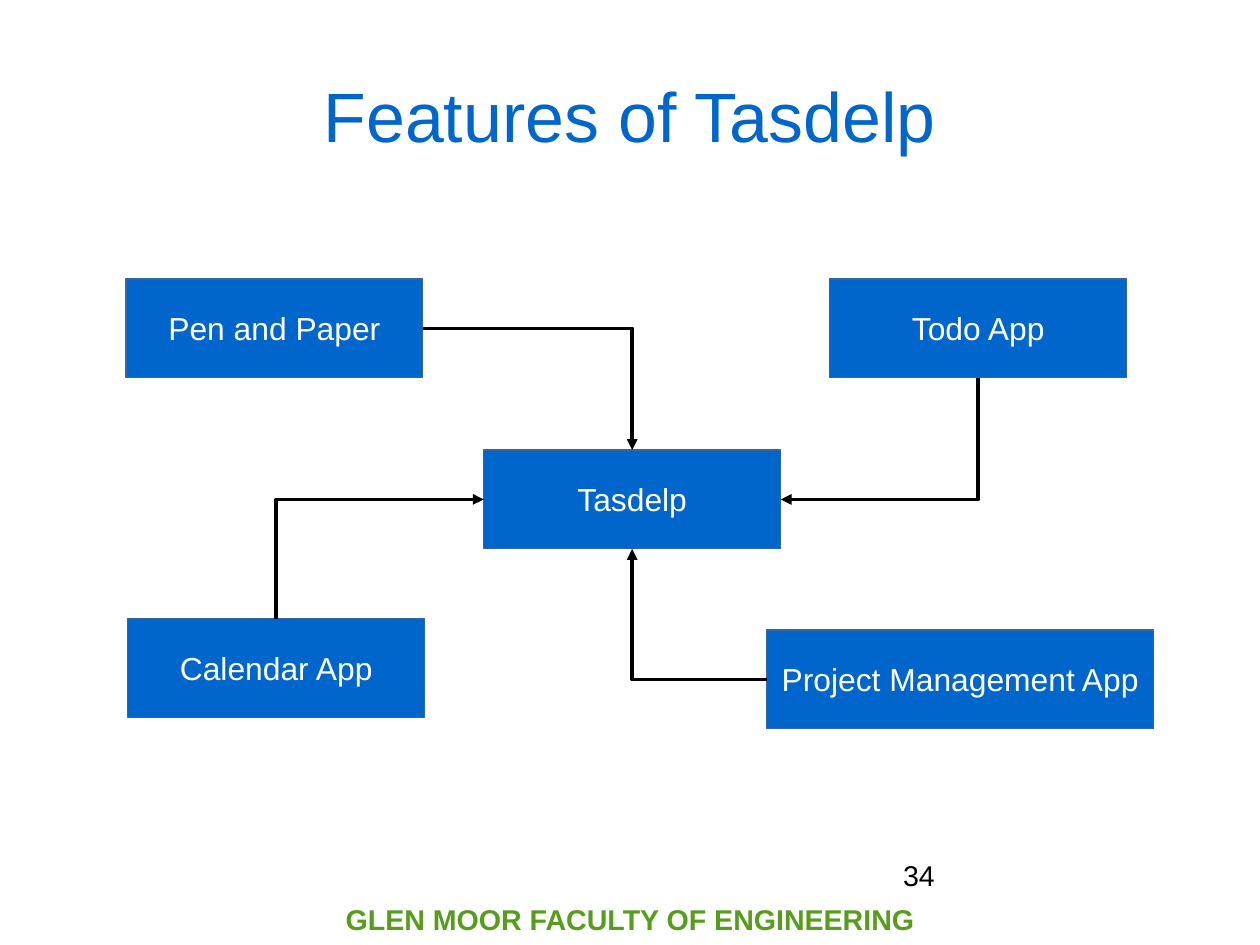
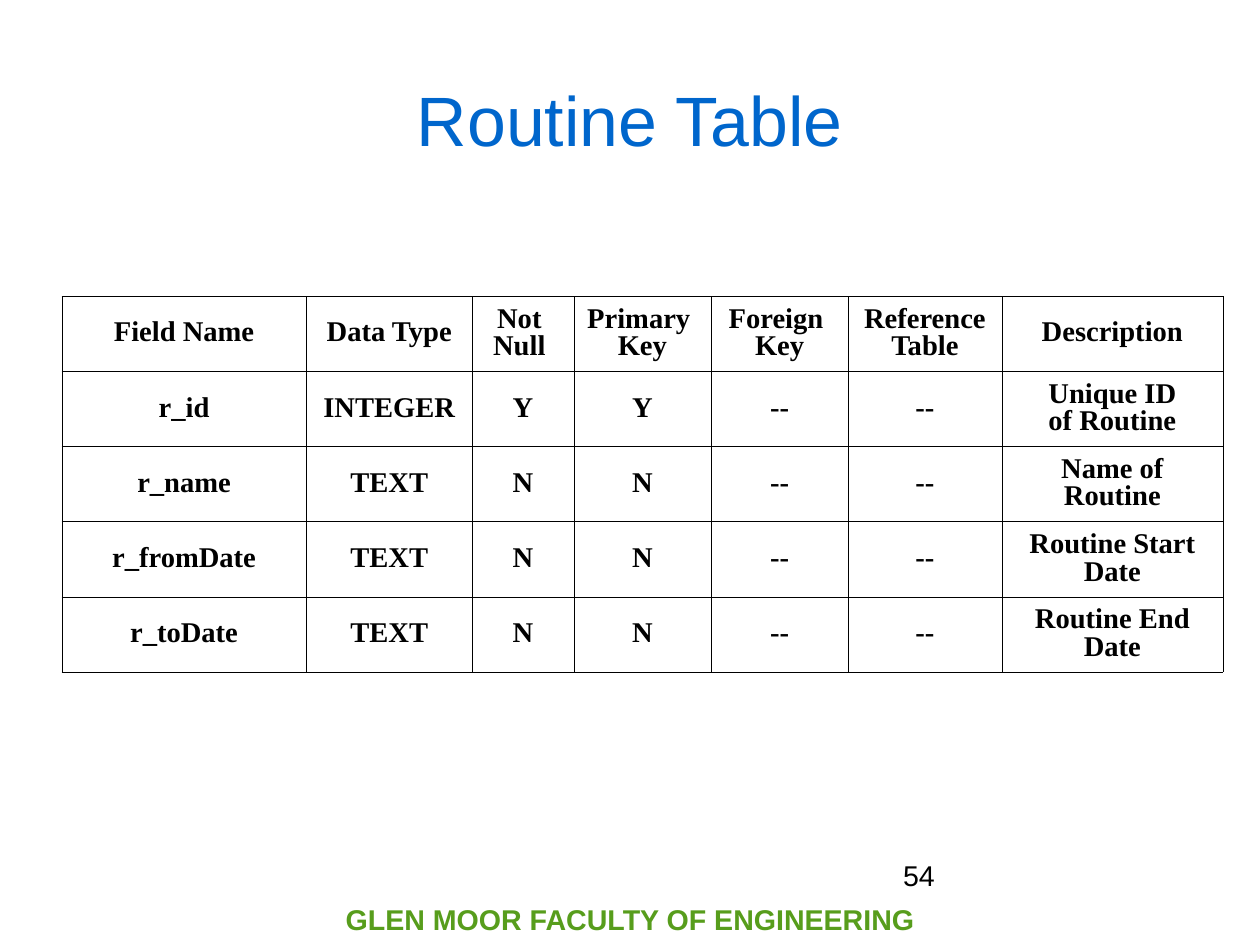
from dataclasses import dataclass, field

from lxml import etree
from pptx import Presentation
from pptx import util as u
from pptx.dml.color import RGBColor
from pptx.enum import shapes, text
from pptx.oxml.ns import qn
from pptx.util import Cm

TOP, LEFT, BOTTOM, RIGHT = range(4)


@dataclass(frozen=True)
class TextStyle:
    size: float
    color: str
    font: str = "Arial"
    bold: bool = False
    align: text.PP_ALIGN = text.PP_ALIGN.CENTER
    anchor: text.MSO_ANCHOR = text.MSO_ANCHOR.MIDDLE
    spacing: float = 0.94
    wrap: bool = True
    # left, top, right and bottom insets in cm
    insets: tuple[float, float, float, float] = (0.25, 0.13, 0.25, 0.13)


@dataclass(frozen=True)
class Theme:
    blue: str = "0066CC"
    edge: str = "3465A4"
    black: str = "000000"
    white: str = "FFFFFF"
    title: TextStyle = TextStyle(44, "0066CC", insets=(0, 0.1, 0, 0))
    footer: TextStyle = TextStyle(18, "579D1C", bold=True, spacing=1)
    number: TextStyle = TextStyle(18, "000000", align=text.PP_ALIGN.LEFT,
                                  anchor=text.MSO_ANCHOR.TOP, insets=(0, 0, 0, 0))
    box: TextStyle = TextStyle(20, "FFFFFF", wrap=False, insets=(0.25, 0.18, 0.25, 0.13))
    cell: TextStyle = TextStyle(18, "000000", "Times New Roman", True, spacing=0.87)


THEME = Theme()


@dataclass(frozen=True)
class Box:
    label: str
    left: float
    top: float
    width: float = 6.6
    height: float = 2.2


@dataclass(frozen=True)
class Link:
    source: str
    source_side: int
    target_side: int


@dataclass(frozen=True)
class Grid:
    left: float
    top: float
    row_height: float
    widths: list[float]
    rows: list[list[str]] = field(default_factory=list)


def rgb(color: str) -> RGBColor:
    return RGBColor.from_string(color)


def set_all(obj, values: dict) -> None:
    for name, value in values.items():
        setattr(obj, name, value)


def place(sp, left: float, top: float, width: float, height: float) -> None:
    set_all(sp, {"left": Cm(left), "top": Cm(top), "width": Cm(width), "height": Cm(height)})


def margins(style: TextStyle) -> dict:
    names = ("margin_left", "margin_top", "margin_right", "margin_bottom")
    return dict(zip(names, map(Cm, style.insets)))


def write(tf, content: str, style: TextStyle) -> None:
    """Fill a text frame, one paragraph for each line of content."""
    for i, line in enumerate(content.split("\n")):
        p = tf.add_paragraph() if i else tf.paragraphs[0]
        set_all(p, {"alignment": style.align, "line_spacing": style.spacing})
        r = p.add_run()
        r.text = line
        set_all(r.font, {"name": style.font, "size": u.Pt(style.size), "bold": style.bold})
        r.font.color.rgb = rgb(style.color)


def write_shape(sp, content: str, style: TextStyle) -> None:
    tf = sp.text_frame
    set_all(tf, {"word_wrap": style.wrap, "auto_size": text.MSO_AUTO_SIZE.NONE,
                 "vertical_anchor": style.anchor, **margins(style)})
    write(tf, content, style)


def add_text(s, content: str, style: TextStyle, at: tuple[float, float, float, float]):
    sp = s.shapes.add_textbox(*map(Cm, at))
    write_shape(sp, content, style)
    return sp


def add_slide(prs, title: str, title_top: float, number: int):
    s = prs.slides.add_slide(prs.slide_layouts[5])
    place(s.shapes.title, 1.4, title_top, 25.2, 3.5)
    write_shape(s.shapes.title, title, THEME.title)
    add_text(s, str(number), THEME.number, (20.07, 19.13, 6.5, 1.45))
    return s


def add_footer(prs, s, content: str) -> None:
    """Move a text box to the master, so that every slide shows it."""
    sp = add_text(s, content, THEME.footer, (6.07, 19.89, 15.87, 1.09))
    prs.slide_master.shapes.element.append(sp.element)


def add_box(s, box: Box):
    sp = s.shapes.add_shape(shapes.MSO_SHAPE.RECTANGLE, 0, 0, 0, 0)
    place(sp, box.left, box.top, box.width, box.height)
    sp.shadow.inherit = False
    sp.fill.solid()
    sp.fill.fore_color.rgb = rgb(THEME.blue)
    sp.line.color.rgb = rgb(THEME.edge)
    sp.line.width = u.Pt(0.75)
    write_shape(sp, box.label, THEME.box)
    return sp


def turn_vertical_first(c) -> None:
    """Turn a one-bend connector so that it leaves its start vertically."""
    dx, dy = c.end_x - c.begin_x, c.end_y - c.begin_y
    mid_x, mid_y = (c.begin_x + c.end_x) // 2, (c.begin_y + c.end_y) // 2
    width, height = abs(dy), abs(dx)
    set_all(c, {"left": mid_x - width // 2, "top": mid_y - height // 2,
                "width": width, "height": height})
    xfrm = c.element.spPr.find(qn("a:xfrm"))
    for name, value in {"rot": 90 * 60000, "flipH": int(dy < 0), "flipV": int(dx > 0)}.items():
        xfrm.set(name, str(value))


def add_arrow(s, source, target, link: Link) -> None:
    c = s.shapes.add_connector(shapes.MSO_CONNECTOR.ELBOW, 0, 0, 0, 0)
    c.begin_connect(source, link.source_side)
    c.end_connect(target, link.target_side)
    c.line.color.rgb = rgb(THEME.black)
    c.line.width = u.Pt(2.3)
    spPr = c.element.spPr
    spPr.find(qn("a:prstGeom")).set("prst", "bentConnector2")
    etree.SubElement(spPr.find(qn("a:ln")), qn("a:tailEnd"), type="triangle")
    etree.SubElement(spPr, qn("a:effectLst"))
    if link.source_side in (TOP, BOTTOM):
        turn_vertical_first(c)


def add_borders(cell) -> None:
    tcPr = cell._tc.get_or_add_tcPr()
    for side in ("lnL", "lnR", "lnT", "lnB"):
        ln = etree.SubElement(tcPr, qn(f"a:{side}"), w=str(u.Pt(0.06)))
        fill = etree.SubElement(ln, qn("a:solidFill"))
        etree.SubElement(fill, qn("a:srgbClr"), val=THEME.black)


def add_grid(s, grid: Grid) -> None:
    n = len(grid.rows)
    frame = s.shapes.add_table(n, len(grid.widths), Cm(grid.left), Cm(grid.top),
                               Cm(sum(grid.widths)), Cm(n * grid.row_height))
    table = frame.table
    set_all(table, {"first_row": False, "horz_banding": False})
    for column, width in zip(table.columns, grid.widths):
        column.width = Cm(width)
    for row, contents in zip(table.rows, grid.rows):
        row.height = Cm(grid.row_height)
        for cell, content in zip(row.cells, contents):
            add_borders(cell)
            cell.fill.solid()
            cell.fill.fore_color.rgb = rgb(THEME.white)
            set_all(cell, {"vertical_anchor": THEME.cell.anchor, **margins(THEME.cell)})
            write(cell.text_frame, content, THEME.cell)


HUB = "Tasdelp"
BOXES = [
    Box("Pen and Paper", 2.8, 6.2),
    Box("Project Management App", 17.04, 14, width=8.6),
    Box("Calendar App", 2.84, 13.75),
    Box("Todo App", 18.44, 6.2),
    Box(HUB, 10.75, 10),
]
LINKS = [
    Link("Pen and Paper", RIGHT, TOP),
    Link("Calendar App", TOP, LEFT),
    Link("Project Management App", LEFT, BOTTOM),
    Link("Todo App", BOTTOM, RIGHT),
]
ROUTINE = Grid(
    1.37, 6.58, 1.67, [5.44, 3.68, 2.26, 3.05, 3.05, 3.41, 4.92],
    [
        ["Field Name", "Data Type", "Not \nNull ", "Primary \nKey", "Foreign \nKey",
         "Reference\nTable", "Description"],
        ["r_id", "INTEGER", "Y", "Y", "--", "--", "Unique ID\nof Routine"],
        *([name, "TEXT", "N", "N", "--", "--", description] for name, description in (
            ("r_name", "Name of Routine"),
            ("r_fromDate", "Routine Start Date"),
            ("r_toDate", "Routine End Date"),
        )),
    ],
)


def main() -> None:
    prs = Presentation()
    set_all(prs, {"slide_width": Cm(28), "slide_height": Cm(21)})

    # Features diagram
    s = add_slide(prs, f"Features of {HUB}", 0.84, 34)
    add_footer(prs, s, "GLEN MOOR FACULTY OF ENGINEERING")
    drawn = {box.label: add_box(s, box) for box in BOXES}
    for link in LINKS:
        add_arrow(s, drawn[link.source], drawn[HUB], link)

    # Routine table
    s = add_slide(prs, "Routine Table", 0.94, 54)
    add_grid(s, ROUTINE)

    prs.save("out.pptx")


if __name__ == "__main__":
    main()
